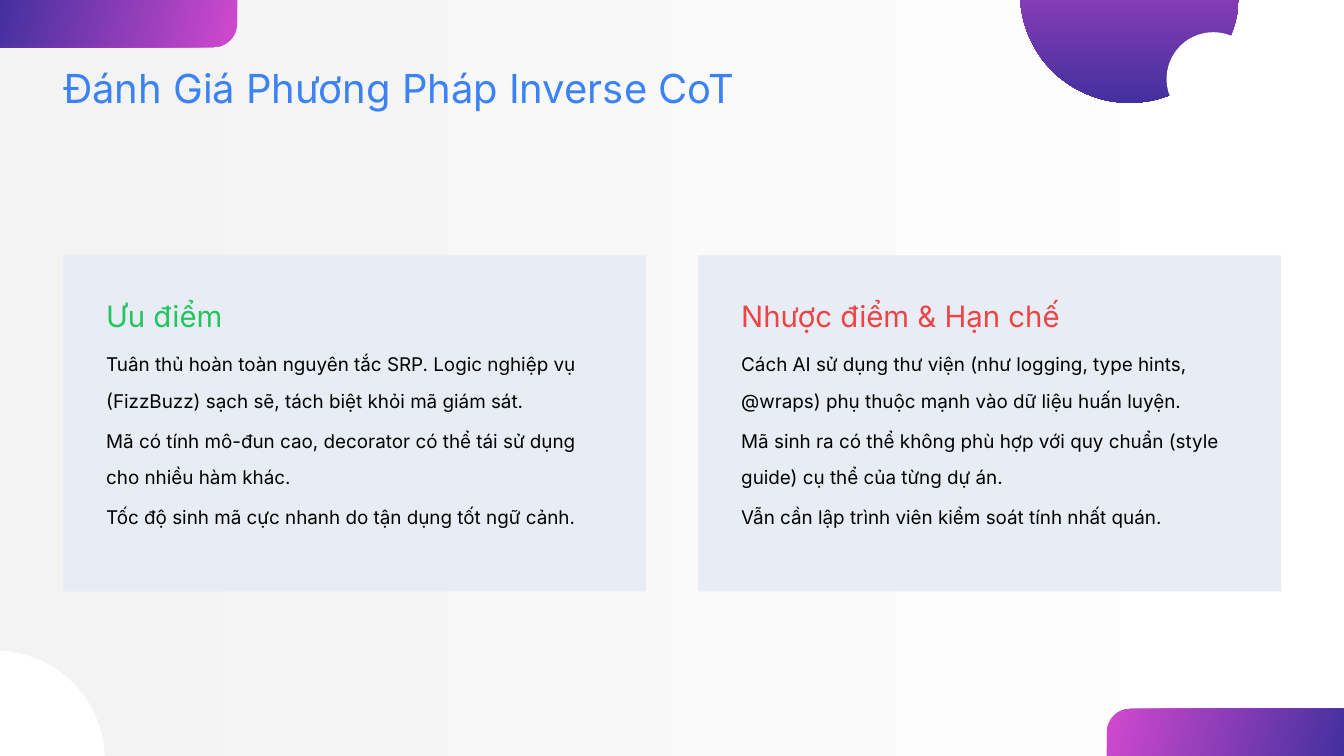
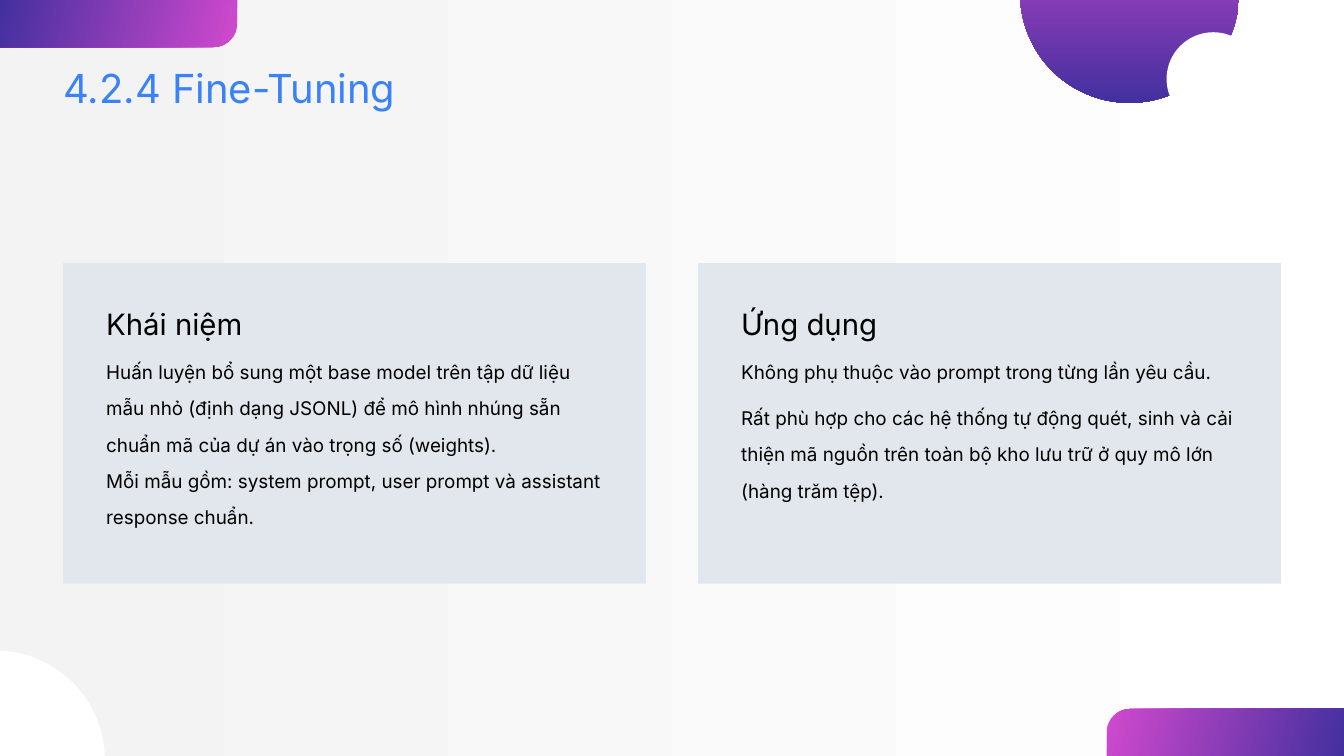
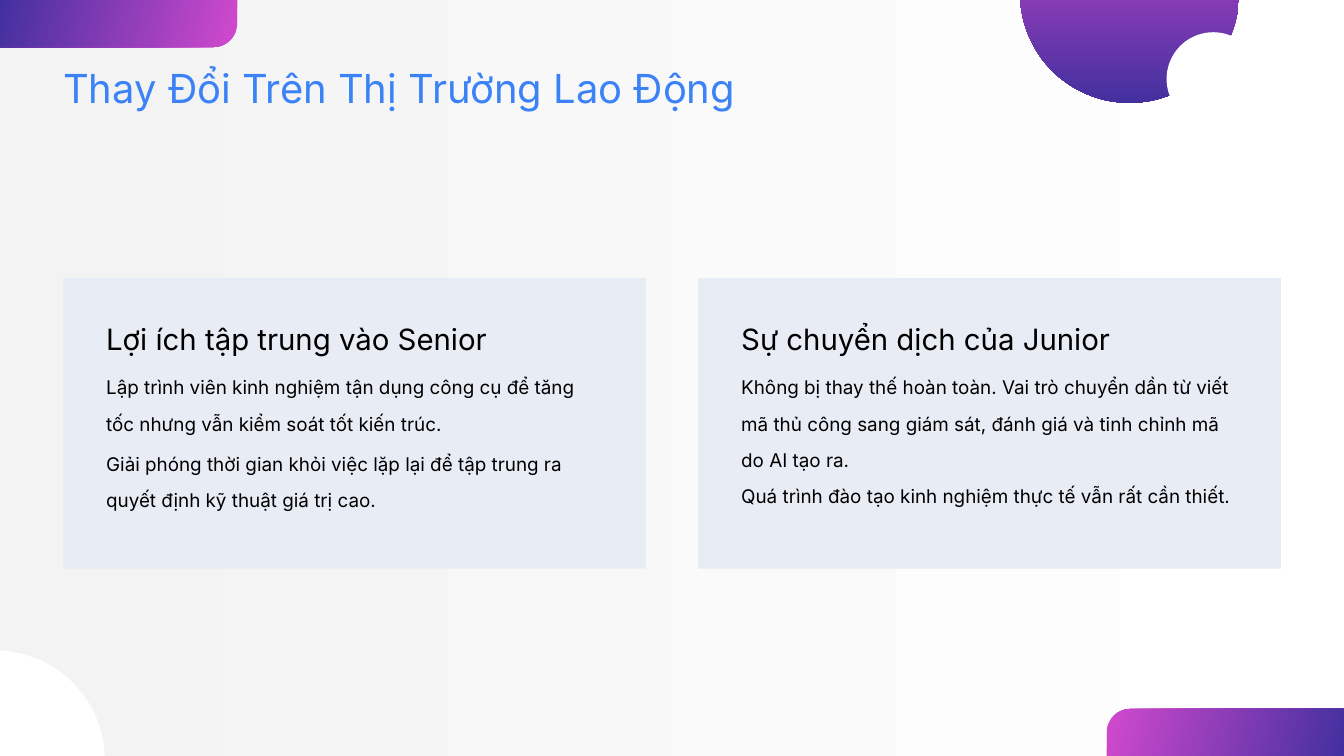
"""Build three slides that each compare two cards of text."""
import math

import pptx
import pptx.dml.color
import pptx.enum.shapes
import pptx.enum.text
import pptx.util
from lxml import etree

Inches = pptx.util.Inches
Pt = pptx.util.Pt
SHAPE = pptx.enum.shapes.MSO_SHAPE
FONT = "Inter"
WIDE, HIGH = 20, 11.25
COLORS = {
    "title": "3B82F6", "text": "000000", "good": "22C55E", "bad": "EF4444",
    "white": "FFFFFF", "mist": "F3F3F3", "pink": "D149CE", "purple": "43309F",
    "card": "E8ECF4", "slate": "E1E7EC",
}


def color(name):
    return pptx.dml.color.RGBColor.from_string(COLORS[name])


def blend(fill, first, last, angle):
    fill.gradient()
    fill.gradient_angle = (360 - angle) % 360
    for stop, name in zip(fill.gradient_stops, (first, last)):
        stop.color.rgb = color(name)


def write(shape, lines, size, tint="text", pitch=None, gap=0):
    frame = shape.text_frame
    frame.word_wrap = True
    frame.auto_size = pptx.enum.text.MSO_AUTO_SIZE.NONE
    frame.vertical_anchor = pptx.enum.text.MSO_ANCHOR.TOP
    frame.margin_left = frame.margin_right = 0
    frame.margin_top = frame.margin_bottom = 0
    for i, line in enumerate(lines):
        para = frame.paragraphs[0] if i == 0 else frame.add_paragraph()
        props = para._p.get_or_add_pPr()
        props.set("marL", "0")
        props.set("indent", "0")
        etree.SubElement(props, pptx.oxml.ns.qn("a:buNone"))
        para.alignment = pptx.enum.text.PP_ALIGN.LEFT
        para.line_spacing = Pt(pitch)
        para.space_before = Pt(gap if i else 0)
        para.space_after = Pt(0)
        run = para.add_run()
        run.text = line
        run.font.name = FONT
        run.font.size = Pt(size)
        run.font.bold = False
        run.font.color.rgb = color(tint)


class Deck:
    def __init__(self):
        self.show = pptx.Presentation()
        self.show.slide_width = Inches(WIDE)
        self.show.slide_height = Inches(HIGH)
        self.slide = None

    def start(self, title):
        self.slide = self.show.slides.add_slide(self.show.slide_layouts[4])
        blend(self.slide.background.fill, "white", "mist", 180)
        self.band(WIDE, HIGH, -1, 15)
        self.band(0, 0, 1, 195)
        self.disc(-1.7, 9.68, 3.26)
        blend(self.disc(15.18, -1.73, 3.26).fill, "pink", "purple", 90)
        self.disc(17.36, 0.48, 1.39)
        self.place(0, 0.94, 0.94, 19.03, 0.72, [title],
                   size=42.8, tint="title", pitch=51.3)

    def plain(self, shape, tint="white"):
        shape.shadow.inherit = False
        shape.line.fill.background()
        shape.fill.solid()
        shape.fill.fore_color.rgb = color(tint)
        return shape

    def disc(self, left, top, size):
        box = [Inches(n) for n in (left, top, size, size)]
        return self.plain(self.slide.shapes.add_shape(SHAPE.OVAL, *box))

    def band(self, x, y, sign, angle):
        width, height, bend = 3.53, 0.7, 0.35
        turns = [math.radians(step * 7.5) for step in range(13)]
        curve = [(width - bend + bend * math.cos(t),
                  height - bend + bend * math.sin(t)) for t in turns]
        points = [(Inches(x + sign * a), Inches(y + sign * b))
                  for a, b in [(0, 0), (width, 0), *curve, (0, height)]]
        path = self.slide.shapes.build_freeform(*points[0])
        path.add_line_segments(points[1:], close=True)
        blend(self.plain(path.convert_to_shape()).fill, "pink", "purple", angle)

    def place(self, key, left, top, width, height, lines, **style):
        holder = self.slide.placeholders[key]
        holder.left, holder.top = Inches(left), Inches(top)
        holder.width, holder.height = Inches(width), Inches(height)
        holder.element.getparent().append(holder.element)
        write(holder, lines, **style)

    def card(self, side, height, fill, head, lines, gap, tint="text"):
        left, top = 0.94 + 9.45 * side, 6.3 - height / 2
        box = [Inches(n) for n in (left, top, 8.67, height)]
        self.plain(self.slide.shapes.add_shape(SHAPE.RECTANGLE, *box), fill)
        key, inner = 1 + 2 * side, left + 0.64
        self.place(key, inner, top + 0.64, 7.76, 0.53, [head],
                   size=31.5, tint=tint, pitch=37.8)
        self.place(key + 1, inner, top + 1.25, 7.39, height - 1.89, lines,
                   size=20.2, pitch=38.9, gap=gap)


SLIDES = [
    ("Đánh Giá Phương Pháp Inverse CoT", 5, "card", [
        dict(head="Ưu điểm", tint="good", gap=4, lines=[
            "Tuân thủ hoàn toàn nguyên tắc SRP. Logic nghiệp vụ (FizzBuzz) sạch sẽ, tách biệt khỏi mã giám sát.",
            "Mã có tính mô-đun cao, decorator có thể tái sử dụng cho nhiều hàm khác.",
            "Tốc độ sinh mã cực nhanh do tận dụng tốt ngữ cảnh."]),
        dict(head="Nhược điểm & Hạn chế", tint="bad", gap=4, lines=[
            "Cách AI sử dụng thư viện (như logging, type hints, @wraps) phụ thuộc mạnh vào dữ liệu huấn luyện.",
            "Mã sinh ra có thể không phù hợp với quy chuẩn (style guide) cụ thể của từng dự án.",
            "Vẫn cần lập trình viên kiểm soát tính nhất quán."])]),
    ("4.2.4 Fine-Tuning", 4.77, "slate", [
        dict(head="Khái niệm", gap=0, lines=[
            "Huấn luyện bổ sung một base model trên tập dữ liệu mẫu nhỏ (định dạng JSONL) để mô hình nhúng sẵn chuẩn mã của dự án vào trọng số (weights).",
            "Mỗi mẫu gồm: system prompt, user prompt và assistant response chuẩn."]),
        dict(head="Ứng dụng", gap=10.5, lines=[
            "Không phụ thuộc vào prompt trong từng lần yêu cầu.",
            "Rất phù hợp cho các hệ thống tự động quét, sinh và cải thiện mã nguồn trên toàn bộ kho lưu trữ ở quy mô lớn (hàng trăm tệp)."])]),
    ("Thay Đổi Trên Thị Trường Lao Động", 4.32, "card", [
        dict(head="Lợi ích tập trung vào Senior", gap=4, lines=[
            "Lập trình viên kinh nghiệm tận dụng công cụ để tăng tốc nhưng vẫn kiểm soát tốt kiến trúc.",
            "Giải phóng thời gian khỏi việc lặp lại để tập trung ra quyết định kỹ thuật giá trị cao."]),
        dict(head="Sự chuyển dịch của Junior", gap=0, lines=[
            "Không bị thay thế hoàn toàn. Vai trò chuyển dần từ viết mã thủ công sang giám sát, đánh giá và tinh chỉnh mã do AI tạo ra.",
            "Quá trình đào tạo kinh nghiệm thực tế vẫn rất cần thiết."])]),
]


def main():
    deck = Deck()
    for title, height, fill, cards in SLIDES:
        deck.start(title)
        for side, card in enumerate(cards):
            deck.card(side, height, fill, **card)
    deck.show.save("out.pptx")


if __name__ == "__main__":
    main()
